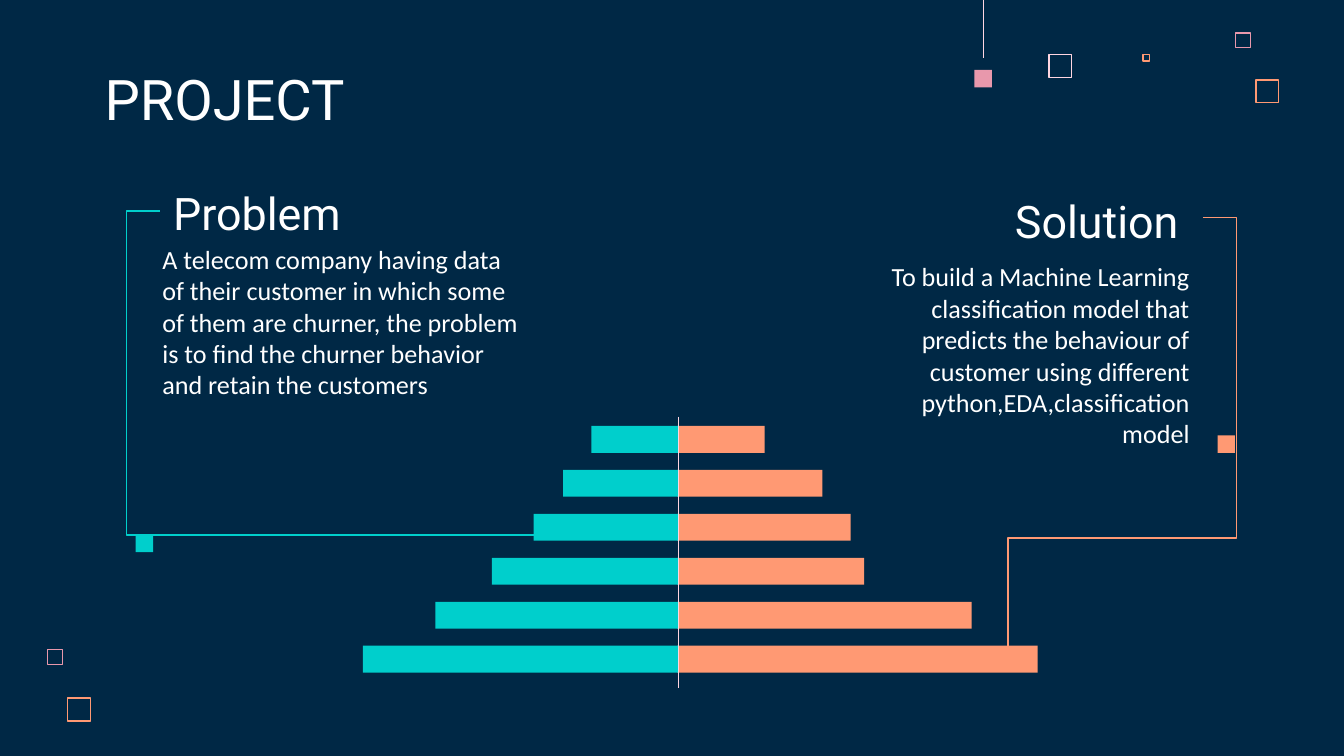
from lxml.etree import SubElement
from pptx import Presentation
from pptx.dml.color import RGBColor
from pptx.enum.shapes import MSO_CONNECTOR, MSO_SHAPE
from pptx.enum.text import MSO_ANCHOR, PP_ALIGN
from pptx.oxml.ns import qn
from pptx.util import Inches, Pt

COLORS = {"navy": "002845", "white": "FFFFFF", "teal": "00CFCC",
          "orange": "FF9973", "pink": "E898AC", "pale": "FFD6E1"}
WIDTH = 10
HEIGHT = WIDTH * 9 / 16

# Text: wording, left, top, width, height, font, size, alignment, anchor
HEADING = ("Roboto", 24)
BODY = ("Calibri", 14)
TEXTS = [
    ("PROJECT", 0.68, 0.45, 6.73, 0.63, "Roboto", 30, PP_ALIGN.LEFT, MSO_ANCHOR.BOTTOM),
    ("Problem", 1.19, 1.25, 1.6, 0.63, *HEADING, PP_ALIGN.LEFT, MSO_ANCHOR.BOTTOM),
    ("A telecom company having data of their customer in which some of them are "
     "churner, the problem is to find the churner behavior and retain the customers",
     1.11, 1.71, 2.87, 1.22, *BODY, PP_ALIGN.LEFT, MSO_ANCHOR.TOP),
    ("Solution ", 7.01, 1.31, 1.94, 0.63, *HEADING, PP_ALIGN.RIGHT, MSO_ANCHOR.BOTTOM),
    ("To build a Machine Learning classification model that predicts the behaviour of "
     "customer using different python,EDA,classification model",
     6.33, 1.84, 2.62, 1.22, *BODY, PP_ALIGN.RIGHT, MSO_ANCHOR.TOP),
]

# Pyramid rows from top to bottom: teal length, orange length
PYRAMID = [(0.65, 0.65), (0.86, 1.08), (1.08, 1.29), (1.39, 1.39), (1.81, 2.19), (2.35, 2.68)]
AXIS, OVERLAP = 5.05, 0.01
PYRAMID_TOP, ROW_PITCH, BAR_HEIGHT = 3.17, 0.327, 0.2

# Squares: left, top, side, colour
FRAMES = [(7.8, 0.4, 0.18, "pale"), (9.19, 0.24, 0.12, "pink"), (8.5, 0.4, 0.06, "orange"),
          (9.34, 0.59, 0.18, "orange"), (0.35, 4.83, 0.12, "pink"), (0.5, 5.19, 0.18, "orange")]
DOTS = [(7.25, 0.52, 0.13, "pink"), (1.01, 3.98, 0.13, "teal"), (9.06, 3.24, 0.13, "orange")]
FRAME_LINE = 0.01

# Brackets: start, end, colour, preset, bends as shares of the connector's size
BRACKETS = [((1.19, 1.57), (3.97, 3.98), "teal", "bentConnector3", [-0.09]),
            ((8.95, 1.62), (7.5, 4.91), "orange", "bentConnector4", [-0.172, 0.724])]


def rgb(name):
    return RGBColor.from_string(COLORS[name])


def add_rectangle(slide, left, top, width, height, color, outlined=False):
    shape = slide.shapes.add_shape(MSO_SHAPE.RECTANGLE, Inches(left), Inches(top),
                                   Inches(width), Inches(height))
    shape.shadow.inherit = False
    if outlined:
        shape.fill.background()
        shape.line.color.rgb = rgb(color)
        shape.line.width = Inches(FRAME_LINE)
    else:
        shape.fill.solid()
        shape.fill.fore_color.rgb = rgb(color)
        shape.line.fill.background()


def add_line(slide, start, end, color, width=0.75, kind=MSO_CONNECTOR.STRAIGHT):
    connector = slide.shapes.add_connector(kind, *map(Inches, (*start, *end)))
    connector.line.color.rgb = rgb(color)
    connector.line.width = Pt(width)
    SubElement(connector._element.spPr, qn("a:effectLst"))
    return connector


def add_bracket(slide, start, end, color, preset, bends):
    connector = add_line(slide, start, end, color, kind=MSO_CONNECTOR.ELBOW)
    geometry = connector._element.spPr.find(qn("a:prstGeom"))
    geometry.set("prst", preset)
    guides = geometry.find(qn("a:avLst"))
    for number, bend in enumerate(bends, 1):
        SubElement(guides, qn("a:gd"), name=f"adj{number}", fmla=f"val {round(bend * 100000)}")


def add_text(slide, text, left, top, width, height, font, size, alignment, anchor):
    box = slide.shapes.add_textbox(Inches(left), Inches(top), Inches(width), Inches(height))
    frame = box.text_frame
    frame.word_wrap = True
    frame.vertical_anchor = anchor
    frame.margin_left = frame.margin_right = Inches(0.1)
    frame.margin_top = frame.margin_bottom = Inches(0.1)
    paragraph = frame.paragraphs[0]
    paragraph.text = text
    paragraph.alignment = alignment
    paragraph.font.name = font
    paragraph.font.size = Pt(size)
    paragraph.font.color.rgb = rgb("white")


def main():
    presentation = Presentation()
    presentation.slide_width, presentation.slide_height = Inches(WIDTH), Inches(HEIGHT)
    slide = presentation.slides.add_slide(presentation.slide_layouts[6])
    slide.background.fill.solid()
    slide.background.fill.fore_color.rgb = rgb("navy")

    # Corner decoration, with each outline kept inside its square
    for left, top, side, color in FRAMES:
        inner = side - FRAME_LINE
        add_rectangle(slide, left + FRAME_LINE / 2, top + FRAME_LINE / 2,
                      inner, inner, color, outlined=True)
    add_line(slide, (7.32, 0), (7.32, 0.43), "pale", 0.5)

    # Title, headings and body text
    for text in TEXTS:
        add_text(slide, *text)

    # Pyramid of paired bars on a central axis
    for row, (teal, orange) in enumerate(PYRAMID):
        top = PYRAMID_TOP + row * ROW_PITCH
        add_rectangle(slide, AXIS - OVERLAP, top, orange, BAR_HEIGHT, "orange")
        add_rectangle(slide, AXIS - teal, top, teal, BAR_HEIGHT, "teal")
    add_line(slide, (AXIS, 3.1), (AXIS, 5.12), "pale")

    # Brackets from the headings to the bars, and solid squares
    for bracket in BRACKETS:
        add_bracket(slide, *bracket)
    for left, top, side, color in DOTS:
        add_rectangle(slide, left, top, side, side, color)

    presentation.save("out.pptx")


if __name__ == "__main__":
    main()
